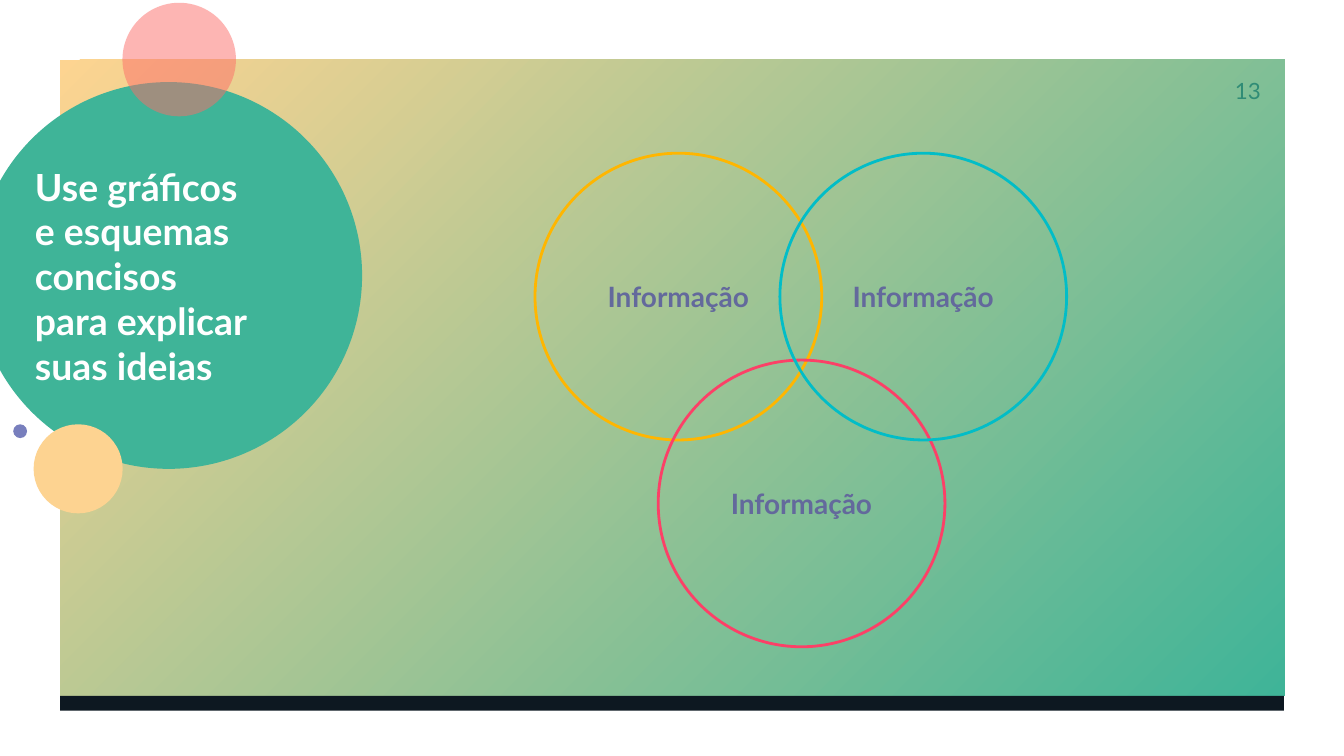
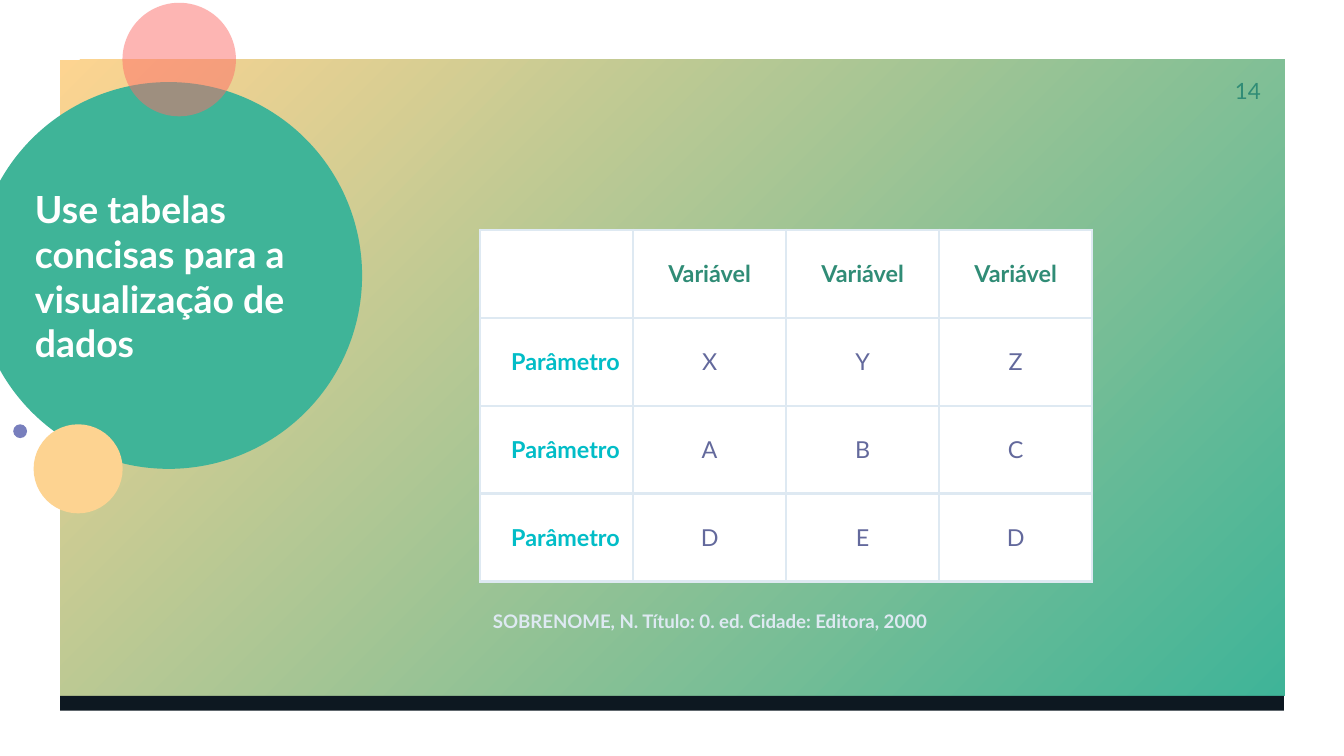
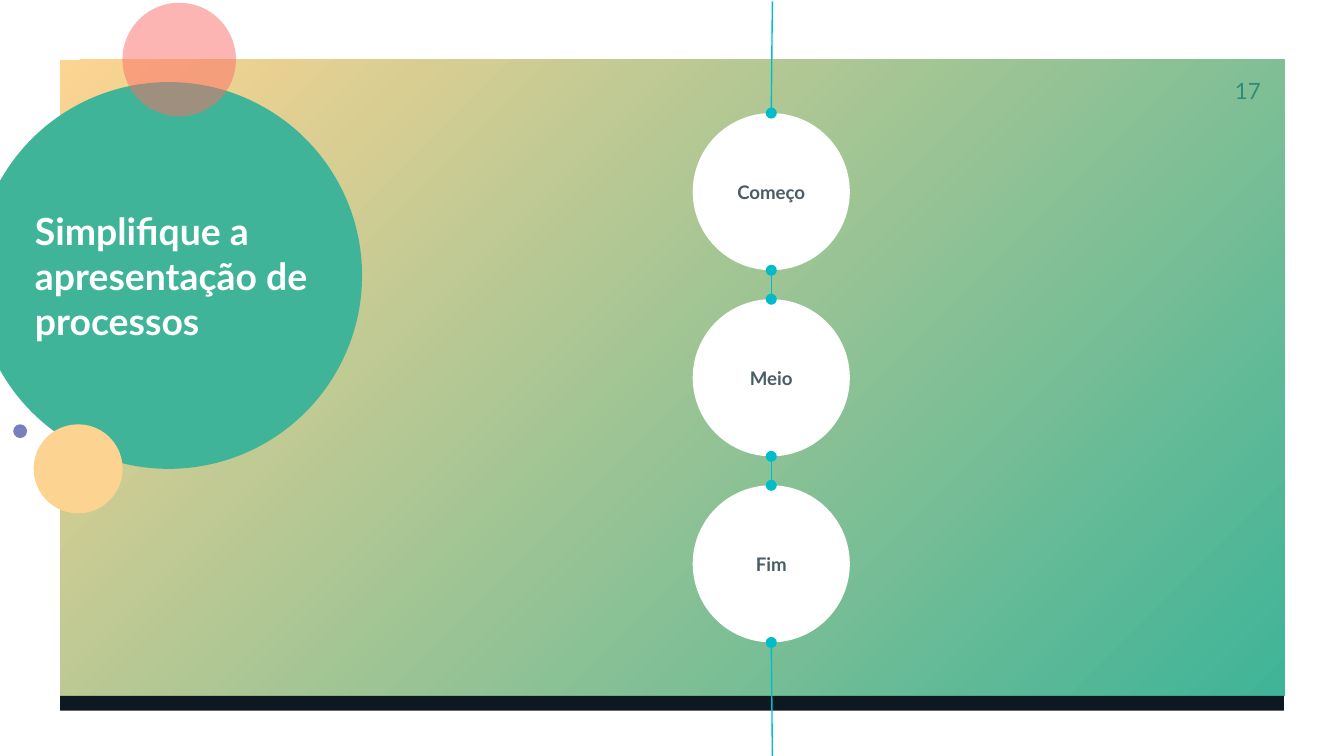
"""Build three widescreen slides: a Venn diagram, a table and a vertical process."""
from lxml.etree import SubElement
from pptx import Presentation
from pptx.dml.color import RGBColor
from pptx.enum.shapes import MSO_CONNECTOR, MSO_SHAPE as SHAPE
from pptx.enum.text import MSO_ANCHOR as ANCHOR, MSO_AUTO_SIZE as FIT, PP_ALIGN as ALIGN
from pptx.oxml.ns import qn
from pptx.util import Pt


class Theme:
    font = "Lato"
    white, navy, slate = "FFFFFF", "0D1821", "4A5C65"
    teal, dark_teal, cyan = "3FB498", "308C76", "02BDC7"
    sand, peach, coral = "FDD491", "FDD391", "FD6C68"
    lilac, purple, mist = "787FBD", "63699C", "DEE9F2"
    amber, pink = "FFB600", "FC4067"
    title, venn, cell, number, small = 20, 15, 12.5, 12, 10


def write(frame, text, size, color, bold=False, align=ALIGN.LEFT, margins=(7.2, 7.2),
          wrap=True, anchor=ANCHOR.MIDDLE):
    frame.word_wrap = wrap
    frame.vertical_anchor = anchor
    frame.margin_left = frame.margin_right = Pt(margins[0])
    frame.margin_top = frame.margin_bottom = Pt(margins[1])
    paragraph = frame.paragraphs[0]
    paragraph.text = text
    paragraph.alignment = align
    for run in paragraph.runs:
        run.font.name = Theme.font
        run.font.size = Pt(size)
        run.font.bold = bold
        run.font.color.rgb = RGBColor.from_string(color)


def draw(slide, preset, left, top, width, height, fill=None, outline=None):
    shape = slide.shapes.add_shape(preset, Pt(left), Pt(top), Pt(width), Pt(height))
    shape.shadow.inherit = False
    if fill:
        shape.fill.solid()
        shape.fill.fore_color.rgb = RGBColor.from_string(fill)
    else:
        shape.fill.background()
    if outline:
        shape.line.color.rgb = RGBColor.from_string(outline)
        shape.line.width = Pt(1.5)
    else:
        shape.line.fill.background()
    return shape


deck = Presentation()
deck.slide_width, deck.slide_height = Pt(720), Pt(405)
layout = deck.slide_layouts[5]
for placeholder in list(layout.placeholders):
    if placeholder.placeholder_format.idx:
        layout.shapes.element.remove(placeholder.element)

pages = [
    ("Use gráficos\ne esquemas concisos\npara explicar suas ideias", "13"),
    ("Use tabelas concisas para a visualização de dados", "14"),
    ("Simplifique a apresentação de processos", "17"),
]
slides = []
for heading, number in pages:
    slide = deck.slides.add_slide(layout)
    title = slide.shapes.title
    title.left, title.top, title.width, title.height = Pt(11.5), Pt(44), Pt(168.5), Pt(207.4)
    write(title.text_frame, heading, Theme.title, Theme.white, bold=True)
    title.text_frame.auto_size = FIT.NONE
    page_number = slide.shapes.add_textbox(Pt(639.4), Pt(33.1), Pt(43.2), Pt(31))
    write(page_number.text_frame, number, Theme.number, Theme.dark_teal, align=ALIGN.RIGHT)
    slides.append(slide)
venn_slide, table_slide, process_slide = slides

panel = draw(venn_slide, SHAPE.RECTANGLE, 32.2, 32, 656, 340.8, Theme.sand)
panel.fill.gradient()
panel.fill.gradient_angle = 315
for stop, position, color in zip(panel.fill.gradient_stops, (0, 1), (Theme.sand, Theme.teal)):
    stop.position = position
    stop.color.rgb = RGBColor.from_string(color)
backdrop = [panel]
for left, top, diameter, color in [
    (-13.2, 44, 207.2, Theme.teal),
    (18, 227.3, 47.7, Theme.peach),
    (65.6, 1.5, 60.8, Theme.coral),
    (7.1, 227.3, 7.4, Theme.lilac),
]:
    bubble = draw(venn_slide, SHAPE.OVAL, left, top, diameter, diameter, color)
    if color == Theme.coral:
        tint = bubble.element.spPr.find(qn("a:solidFill"))[0]
        SubElement(tint, qn("a:alpha"), val="50000")
    backdrop.append(bubble)
backdrop.append(draw(venn_slide, SHAPE.RECTANGLE, 32.2, 372.8, 655.7, 8, Theme.navy))
for position, part in enumerate(backdrop, start=2):
    layout.shapes.element.insert(position, part.element)

for left, top, color in [
    (286.6, 82.1, Theme.amber),
    (352.6, 192.9, Theme.pink),
    (417.8, 82.1, Theme.cyan),
]:
    ring = draw(venn_slide, SHAPE.OVAL, left, top, 153.6, 153.6, outline=color)
    write(ring.text_frame, "Informação", Theme.venn, Theme.purple, bold=True, align=ALIGN.CENTER)

rows = [
    ["", "Variável", "Variável", "Variável"],
    ["Parâmetro", "X", "Y", "Z"],
    ["Parâmetro", "A", "B", "C"],
    ["Parâmetro", "D", "E", "D"],
]
column_width, row_height = 82, 47.1
table = table_slide.shapes.add_table(
    4, 4, Pt(257.2), Pt(123.2), Pt(4 * column_width), Pt(4 * row_height)).table
table.first_row = table.horz_banding = False
for column in table.columns:
    column.width = Pt(column_width)
for r, row in enumerate(rows):
    table.rows[r].height = Pt(row_height)
    for c, value in enumerate(row):
        cell = table.cell(r, c)
        color = Theme.dark_teal if r == 0 else Theme.cyan if c == 0 else Theme.purple
        write(cell.text_frame, value, Theme.cell, color, bold=r == 0 or c == 0,
              align=ALIGN.CENTER if c else ALIGN.RIGHT)
        cell.vertical_anchor = ANCHOR.MIDDLE
        cell.margin_left = cell.margin_right = Pt(7.2)
        cell.margin_top = cell.margin_bottom = Pt(5)
        properties = cell._tc.get_or_add_tcPr()
        for side in ("a:lnL", "a:lnR", "a:lnT", "a:lnB"):
            border = SubElement(properties, qn(side), w=str(Pt(1.5)))
            SubElement(SubElement(border, qn("a:solidFill")), qn("a:srgbClr"), val=Theme.mist)
        cell.fill.solid()
        cell.fill.fore_color.rgb = RGBColor.from_string(Theme.white)

citation = table_slide.shapes.add_textbox(Pt(257), Pt(323.3), Pt(254), Pt(19.4))
write(citation.text_frame, "SOBRENOME, N. Título: 0. ed. Cidade: Editora, 2000", Theme.small,
      Theme.mist, bold=True, margins=(7.2, 3.6), wrap=False, anchor=ANCHOR.TOP)
citation.text_frame.auto_size = FIT.SHAPE_TO_FIT_TEXT

axis, diameter, first_top, pitch = 413.2, 84.2, 60.6, 99.7
steps = ["Começo", "Meio", "Fim"]
tops = [first_top + i * pitch for i in range(len(steps))]
for step, top in zip(steps, tops):
    disc = draw(process_slide, SHAPE.OVAL, axis - diameter / 2, top, diameter, diameter, Theme.white)
    write(disc.text_frame, step, Theme.small, Theme.slate, bold=True, align=ALIGN.CENTER)

starts = [0.7] + [top + diameter for top in tops]
ends = tops + [405]
for i, (start, end) in enumerate(zip(starts, ends)):
    first, last = i == 0, i == len(steps)
    link = process_slide.shapes.add_connector(
        MSO_CONNECTOR.STRAIGHT, Pt(axis + 0.6 * first), Pt(start), Pt(axis + 0.6 * last), Pt(end))
    link.line.color.rgb = RGBColor.from_string(Theme.cyan)
    link.line.width = Pt(0.75)
    stroke = link.element.spPr.find(qn("a:ln"))
    if not first:
        SubElement(stroke, qn("a:headEnd"), type="oval")
    if not last:
        SubElement(stroke, qn("a:tailEnd"), type="oval")
    SubElement(link.element.spPr, qn("a:effectLst"))

deck.save("out.pptx")
